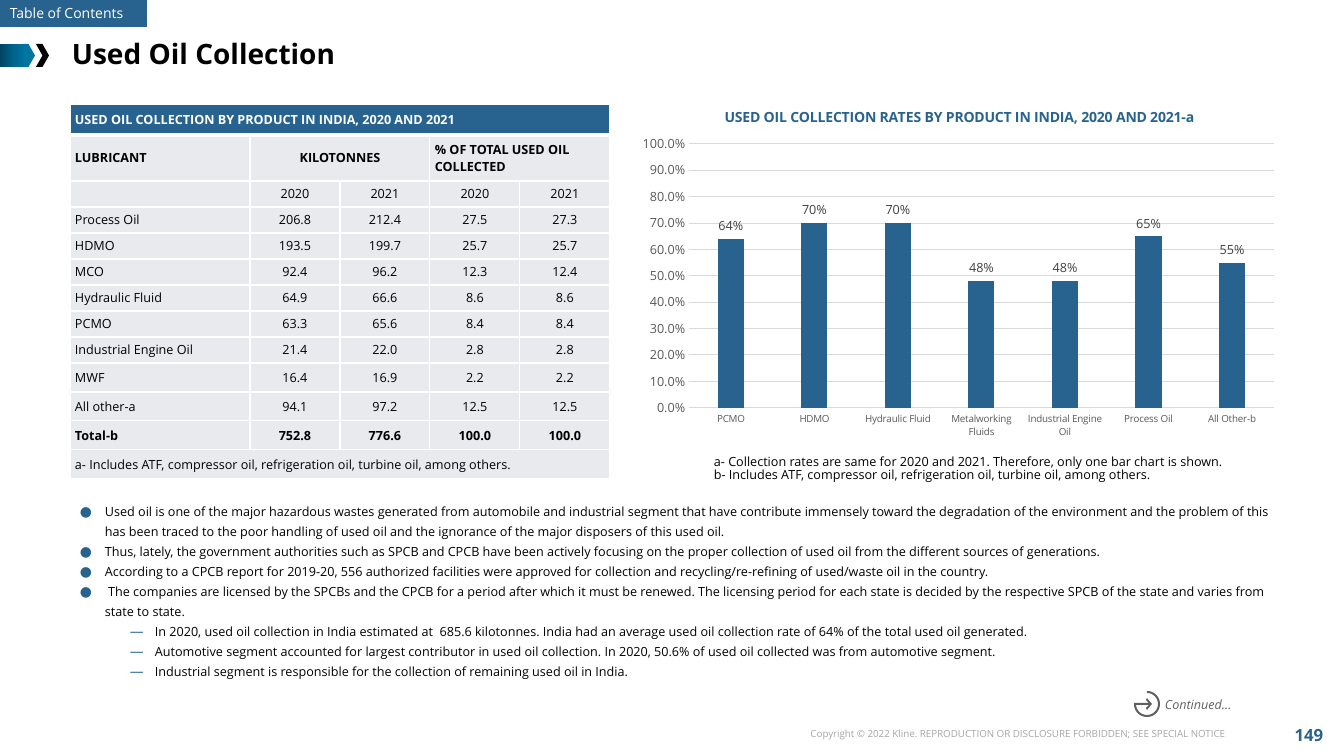
"""Build the used oil collection slide with its table, chart and commentary."""
import math

from lxml import etree
from pptx import Presentation
from pptx import util as u
from pptx.chart import data as chart_data
from pptx.dml.color import RGBColor
from pptx.enum import chart as charts, shapes, text
from pptx.oxml import ns

PX = 914400 / 100.8
FONT = "Open Sans"
COLORS = {
    "blue": "27638E", "black": "000000", "white": "FFFFFF", "cell": "E8EAEE",
    "copyright": "A6A6A6", "continued": "606060", "axis": "595959",
    "grid": "D9D9D9", "label": "404040", "chevron": "00759E",
}
GRADIENT = [(0, "004461"), (50, "00668E"), (100, "007BAA")]
LEFT, CENTER, RIGHT = text.PP_ALIGN.LEFT, text.PP_ALIGN.CENTER, text.PP_ALIGN.RIGHT

TABLE_TITLE = "USED OIL COLLECTION BY PRODUCT IN INDIA, 2020 AND 2021"
TABLE_NOTE = "a- Includes ATF, compressor oil, refrigeration oil, turbine oil, among others."
TABLE_ROWS = [
    (TABLE_TITLE, "", "", "", ""),
    ("LUBRICANT", "KILOTONNES", "", "% OF TOTAL USED OIL COLLECTED", ""),
    ("", "2020", "2021", "2020", "2021"),
    ("Process Oil", "206.8", "212.4", "27.5", "27.3"),
    ("HDMO", "193.5", "199.7", "25.7", "25.7"),
    ("MCO", "92.4", "96.2", "12.3", "12.4"),
    ("Hydraulic Fluid", "64.9", "66.6", "8.6", "8.6"),
    ("PCMO", "63.3", "65.6", "8.4", "8.4"),
    ("Industrial Engine Oil", "21.4", "22.0", "2.8", "2.8"),
    ("MWF", "16.4", "16.9", "2.2", "2.2"),
    ("All other-a", "94.1", "97.2", "12.5", "12.5"),
    ("Total-b", "752.8", "776.6", "100.0", "100.0"),
    (TABLE_NOTE, "", "", "", ""),
]
COLUMN_WIDTHS = [180] + [90] * 4
ROW_HEIGHTS = [31, 46] + [26] * 7 + [29] * 4
MERGES = [(0, 0, 4), (1, 1, 2), (1, 3, 4), (12, 0, 4)]
BOLD_ROWS = (0, 1, 11)

CHART_TITLE = "USED OIL COLLECTION RATES BY PRODUCT IN INDIA, 2020 AND 2021-a"
RATES = {
    "PCMO": 0.64, "HDMO": 0.70, "Hydraulic Fluid": 0.70, "Metalworking Fluids": 0.48,
    "Industrial Engine Oil": 0.48, "Process Oil": 0.65, "All Other-b": 0.55,
}
CHART_NOTES = [
    "a- Collection rates are same for 2020 and 2021. Therefore, only one bar chart is shown.",
    "b- Includes ATF, compressor oil, refrigeration oil, turbine oil, among others.",
]
POINTS = [
    "Used oil is one of the major hazardous wastes generated from automobile and industrial segment that have contribute immensely toward the degradation of the environment and the problem of this has been traced to the poor handling of used oil and the ignorance of the major disposers of this used oil.",
    "Thus, lately, the government authorities such as SPCB and CPCB have been actively focusing on the proper collection of used oil from the different sources of generations.",
    "According to a CPCB report for 2019-20, 556 authorized facilities were approved for collection and recycling/re-refining of used/waste oil in the country.",
    " The companies are licensed by the SPCBs and the CPCB for a period after which it must be renewed. The licensing period for each state is decided by the respective SPCB of the state and varies from state to state.",
]
SUBPOINTS = [
    "In 2020, used oil collection in India estimated at  685.6 kilotonnes. India had an average used oil collection rate of 64% of the total used oil generated.",
    "Automotive segment accounted for largest contributor in used oil collection. In 2020, 50.6% of used oil collected was from automotive segment.",
    "Industrial segment is responsible for the collection of remaining used oil in India.",
]


def px(value):
    return u.Emu(round(value * PX))


def color(name):
    return RGBColor.from_string(COLORS[name])


def style_font(font, size, tint, bold=False, italic=False):
    font.name, font.size, font.bold, font.italic = FONT, u.Pt(size), bold, italic
    font.color.rgb = color(tint)


def add_bullet(paragraph, level, mark):
    properties = paragraph._p.get_or_add_pPr()
    properties.set("marL", str(px(25 + 50 * level)))
    properties.set("indent", str(-px(25)))
    tint = etree.SubElement(properties, ns.qn("a:buClr"))
    etree.SubElement(tint, ns.qn("a:srgbClr"), val=COLORS["blue"])
    etree.SubElement(properties, ns.qn("a:buSzPct"), val="110000")
    etree.SubElement(properties, ns.qn("a:buFont"), typeface=FONT)
    etree.SubElement(properties, ns.qn("a:buChar"), char=mark)
    paragraph.level = level


def write(frame, lines, size=9, tint="black", bold=False, italic=False, align=LEFT,
          spacing=None, bullets=None, wrap=True, anchor=text.MSO_ANCHOR.TOP):
    frame.word_wrap, frame.vertical_anchor = wrap, anchor
    for index, line in enumerate([lines] if isinstance(lines, str) else lines):
        paragraph = frame.add_paragraph() if index else frame.paragraphs[0]
        if bullets:
            add_bullet(paragraph, *bullets[index])
        paragraph.alignment = align
        if spacing:
            paragraph.line_spacing = spacing
        if line:
            run = paragraph.add_run()
            run.text = line
            style_font(run.font, size, tint, bold, italic)
        else:
            etree.SubElement(paragraph._p, ns.qn("a:endParaRPr"), sz=str(size * 100))


def add_text(slide, box, lines, **style):
    write(slide.shapes.add_textbox(*map(px, box)).text_frame, lines, **style)


def finish(shape, tint):
    shape.shadow.inherit = False
    shape.line.fill.background()
    shape.fill.solid()
    shape.fill.fore_color.rgb = color(tint)
    return shape


def add_block(slide, kind, box, tint):
    return finish(slide.shapes.add_shape(kind, *map(px, box)), tint)


def add_header(slide):
    kinds = shapes.MSO_SHAPE
    band = add_block(slide, kinds.RECTANGLE, (0, 44, 29, 23), "blue")
    band.fill.gradient()
    band.fill.gradient_angle = 0
    stops = band._element.spPr.find(".//" + ns.qn("a:gsLst"))
    stops.clear()
    for position, value in GRADIENT:
        stop = etree.SubElement(stops, ns.qn("a:gs"), pos=str(position * 1000))
        etree.SubElement(stop, ns.qn("a:srgbClr"), val=value)
    for left, tint in ((22, "chevron"), (36, "black")):
        add_block(slide, kinds.CHEVRON, (left, 44, 13, 23), tint)
    tab = add_block(slide, kinds.RECTANGLE, (0, 0, 147, 27), "blue")
    write(tab.text_frame, "Table of Contents", size=10, tint="white", wrap=False)
    add_text(slide, (62, 31, 1210, 44), "Used Oil Collection", size=20, bold=True,
             anchor=text.MSO_ANCHOR.MIDDLE)


def add_border(cell, side, points):
    line = etree.SubElement(cell._tc.get_or_add_tcPr(), ns.qn("a:ln" + side),
                            w=str(u.Pt(points)))
    fill = etree.SubElement(line, ns.qn("a:solidFill"))
    etree.SubElement(fill, ns.qn("a:srgbClr"), val=COLORS["white"])


def add_oil_table(slide):
    box = (70, 104, sum(COLUMN_WIDTHS), sum(ROW_HEIGHTS))
    table = slide.shapes.add_table(len(TABLE_ROWS), len(COLUMN_WIDTHS), *map(px, box)).table
    for column, width in zip(table.columns, COLUMN_WIDTHS):
        column.width = px(width)
    for r, values in enumerate(TABLE_ROWS):
        table.rows[r].height = px(ROW_HEIGHTS[r])
        for c, value in enumerate(values):
            cell = table.cell(r, c)
            thick = {0: "B", 1: "T"}.get(r)
            for side in "LRTB":
                add_border(cell, side, 3 if side == thick else 1)
            cell.fill.solid()
            cell.fill.fore_color.rgb = color("cell" if r else "blue")
            cell.margin_left = cell.margin_right = px(1 if c and r > 1 else 5)
            cell.margin_top = cell.margin_bottom = px(3)
            cell.vertical_anchor = text.MSO_ANCHOR.MIDDLE
            centered = c > 0 and (r, c) != (1, 3)
            write(cell.text_frame, value, tint="black" if r else "white",
                  bold=r in BOLD_ROWS, align=CENTER if centered else LEFT,
                  anchor=None)
    for row, first, last in MERGES:
        table.cell(row, first).merge(table.cell(row, last))


def place(element, index, **values):
    for old in element.findall(ns.qn("c:layout")):
        element.remove(old)
    layout = etree.Element(ns.qn("c:layout"))
    manual = etree.SubElement(layout, ns.qn("c:manualLayout"))
    for name, value in values.items():
        etree.SubElement(manual, ns.qn("c:" + name), val=str(value))
    element.insert(index, layout)


def add_rate_chart(slide):
    data = chart_data.CategoryChartData(number_format="0%")
    data.categories = list(RATES)
    data.add_series("Series 1", list(RATES.values()))
    kind = charts.XL_CHART_TYPE.COLUMN_CLUSTERED
    chart = slide.shapes.add_chart(kind, *map(px, (630, 89, 657, 359)), data).chart
    style_font(chart.font, 10, "black")
    chart.has_legend = False
    write(chart.chart_title.text_frame, CHART_TITLE, size=10, tint="blue", bold=True, align=CENTER)
    place(chart.chart_title._element, 1, xMode="edge", yMode="edge", x=0.14, y=0.04)
    place(chart._chartSpace.chart.plotArea, 0, layoutTarget="inner", xMode="edge",
          yMode="edge", x=0.09, y=0.153, w=0.89, h=0.735)
    plot = chart.plots[0]
    plot.gap_width, plot.overlap, plot.vary_by_categories = 219, -27, False
    fill = plot.series[0].format.fill
    fill.solid()
    fill.fore_color.rgb = color("blue")
    plot.has_data_labels = True
    labels = plot.data_labels
    labels.show_value, labels.number_format = True, "0%"
    labels.number_format_is_linked = False
    labels.position = charts.XL_LABEL_POSITION.OUTSIDE_END
    style_font(labels.font, 9, "label")
    category, value = chart.category_axis, chart.value_axis
    for axis, size in ((category, 7), (value, 9)):
        axis.major_tick_mark = axis.minor_tick_mark = charts.XL_TICK_MARK.NONE
        style_font(axis.tick_labels.font, size, "axis")
    value.minimum_scale, value.maximum_scale, value.major_unit = 0, 1, 0.1
    value.tick_labels.number_format = "0.0%"
    value.tick_labels.number_format_is_linked = False
    for line in (category.format.line, value.major_gridlines.format.line):
        line.width = u.Pt(0.75)
        line.color.rgb = color("grid")
    value.format.line.fill.background()


def add_continued(slide):
    x, y = 1147, 704

    def arc(radius, angles):
        return [(x + radius * math.cos(math.radians(a)), y + radius * math.sin(math.radians(a)))
                for a in angles]

    arrow = [(-13, -1), (2, -1), (-1, -4), (0, -6), (5, 0), (0, 6), (-1, 4), (2, 1), (-11, 1)]
    outline = arc(13, range(-90, 176, 5)) + [(x + dx, y + dy) for dx, dy in arrow]
    outline += arc(11, range(170, -91, -5))
    points = [(px(left), px(top)) for left, top in outline]
    builder = slide.shapes.build_freeform(*points[0])
    builder.add_line_segments(points[1:], close=True)
    finish(builder.convert_to_shape(), "continued")
    add_text(slide, (1155, 691, 99, 27), "Continued…", tint="continued", italic=True,
             anchor=text.MSO_ANCHOR.MIDDLE)


def main():
    presentation = Presentation()
    presentation.slide_width, presentation.slide_height = px(1344), px(756)
    slide = presentation.slides.add_slide(presentation.slide_layouts[6])
    add_header(slide)
    add_oil_table(slide)
    add_rate_chart(slide)
    add_text(slide, (704, 451, 568, 40), CHART_NOTES, spacing=0.88)
    add_text(slide, (70, 494, 1218, 214), POINTS + SUBPOINTS, spacing=1.32,
             bullets=[(0, "●")] * len(POINTS) + [(1, "—")] * len(SUBPOINTS))
    add_continued(slide)
    add_text(slide, (777, 723, 458, 22), "Copyright © 2022 Kline. REPRODUCTION OR DISCLOSURE FORBIDDEN; SEE SPECIAL NOTICE",
             size=7, tint="copyright", align=RIGHT, wrap=False)
    add_text(slide, (1278, 713, 62, 43), "149", size=12, tint="blue", bold=True,
             align=CENTER, anchor=text.MSO_ANCHOR.MIDDLE)
    presentation.save("out.pptx")


if __name__ == "__main__":
    main()
